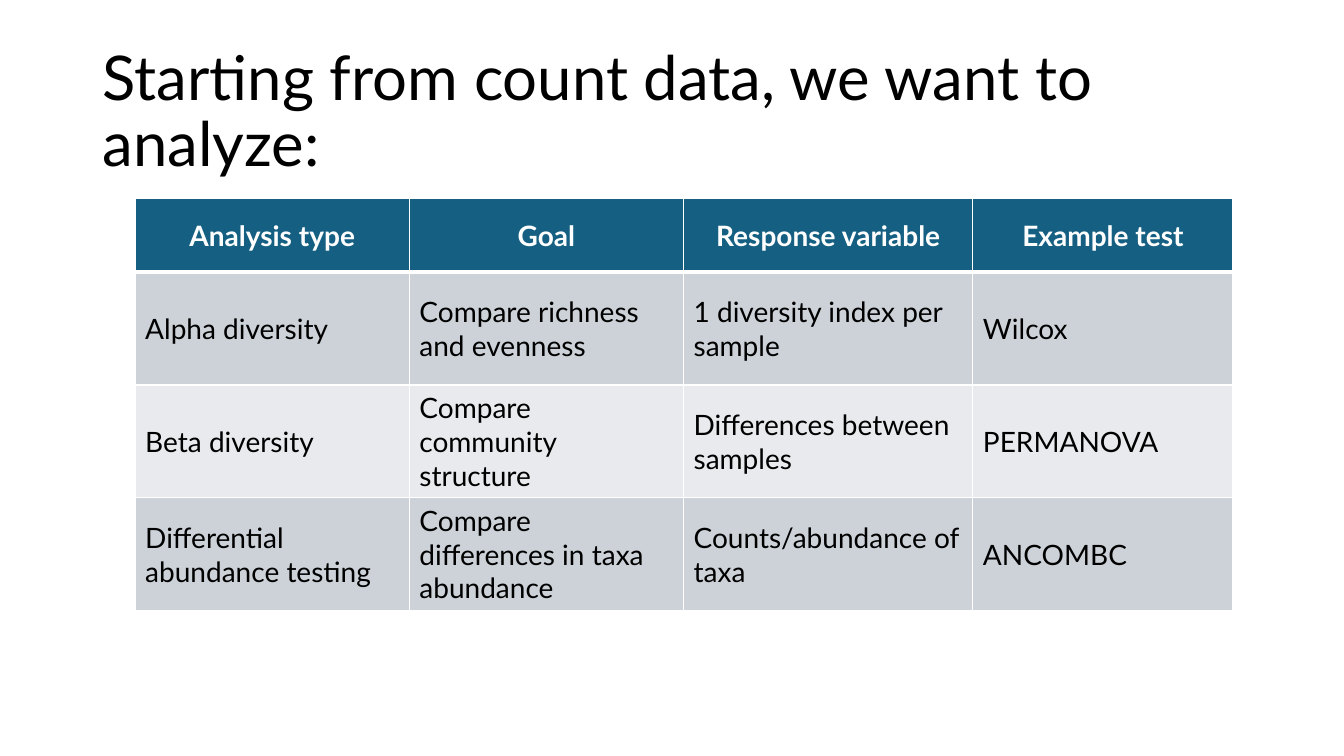
from dataclasses import dataclass

from lxml.etree import SubElement
from pptx import Presentation
from pptx.dml.color import RGBColor as Color
from pptx.enum.text import MSO_ANCHOR as Anchor, PP_ALIGN as Align
from pptx.oxml.ns import qn
from pptx.util import Inches, Pt


@dataclass(frozen=True)
class Theme:
    """Fonts, type sizes, line widths and colours of the slide."""
    font: str = "Lato"
    title_size: int = 44
    table_size: int = 20
    thin: int = 1
    thick: int = 3
    ink: str = "000000"
    paper: str = "FFFFFF"
    header: str = "156082"
    bands: tuple = ("CCD2D8", "E8EAED")


THEME = Theme()
TITLE = "Starting from count data, we want to analyze:"
TITLE_BOX = (0.92, 0.4, 11.5, 1.45)
TABLE_BOX = (1.34, 1.97, 10.89, 4.09)
COLUMN_WIDTHS = (2.72, 2.72, 2.87, 2.58)
HEADER_HEIGHT = 0.73
ANALYSES = (
    ("Analysis type", "Goal", "Response variable", "Example test"),
    ("Alpha diversity", "Compare richness and evenness",
     "1 diversity index per sample", "Wilcox"),
    ("Beta diversity", "Compare community structure",
     "Differences between samples", "PERMANOVA"),
    ("Differential abundance testing", "Compare differences in taxa abundance",
     "Counts/abundance of taxa", "ANCOMBC"),
)


def style_paragraph(paragraph, size, color, bold=False):
    """Set the font of a whole paragraph."""
    font = paragraph.font
    font.name, font.size, font.bold = THEME.font, Pt(size), bold
    font.color.rgb = Color.from_string(color)


def add_title(slide, box, text):
    """Place the title, centred vertically in its box."""
    frame = slide.shapes.add_textbox(*map(Inches, box)).text_frame
    frame.word_wrap = True
    frame.vertical_anchor = Anchor.MIDDLE
    paragraph = frame.paragraphs[0]
    paragraph.text = text
    paragraph.line_spacing = 0.9
    style_paragraph(paragraph, THEME.title_size, THEME.ink)


def add_borders(cell, top, bottom):
    """Draw the four cell borders, with thin sides."""
    properties = cell._tc.get_or_add_tcPr()
    sides = {"L": THEME.thin, "R": THEME.thin, "T": top, "B": bottom}
    for side, width in sides.items():
        line = SubElement(properties, qn(f"a:ln{side}"), w=str(Pt(width)))
        fill = SubElement(line, qn("a:solidFill"))
        SubElement(fill, qn("a:srgbClr"), val=THEME.paper)


def fill_cell(cell, text, row_index):
    """Write and colour one cell according to its row."""
    is_header = row_index == 0
    add_borders(cell,
                top=THEME.thick if row_index == 1 else THEME.thin,
                bottom=THEME.thick if is_header else THEME.thin)
    background = THEME.header if is_header else THEME.bands[(row_index - 1) % 2]
    cell.fill.solid()
    cell.fill.fore_color.rgb = Color.from_string(background)
    cell.vertical_anchor = Anchor.MIDDLE
    cell.text = text
    paragraph = cell.text_frame.paragraphs[0]
    paragraph.alignment = Align.CENTER if is_header else Align.LEFT
    style_paragraph(paragraph, THEME.table_size,
                    THEME.paper if is_header else THEME.ink, is_header)


def add_analysis_table(slide, box, rows):
    """Place a table with a header row above equal body rows."""
    table = slide.shapes.add_table(
        len(rows), len(COLUMN_WIDTHS), *map(Inches, box)).table
    body_height = (box[3] - HEADER_HEIGHT) / (len(rows) - 1)
    for column, width in zip(table.columns, COLUMN_WIDTHS):
        column.width = Inches(width)
    for row_index, texts in enumerate(rows):
        height = body_height if row_index else HEADER_HEIGHT
        table.rows[row_index].height = Inches(height)
        for column_index, text in enumerate(texts):
            fill_cell(table.cell(row_index, column_index), text, row_index)


def main():
    """Build and save the presentation."""
    presentation = Presentation()
    presentation.slide_width = Inches(13.33)
    presentation.slide_height = Inches(7.5)
    slide = presentation.slides.add_slide(presentation.slide_layouts[6])
    add_title(slide, TITLE_BOX, TITLE)
    add_analysis_table(slide, TABLE_BOX, ANALYSES)
    presentation.save("out.pptx")


if __name__ == "__main__":
    main()
